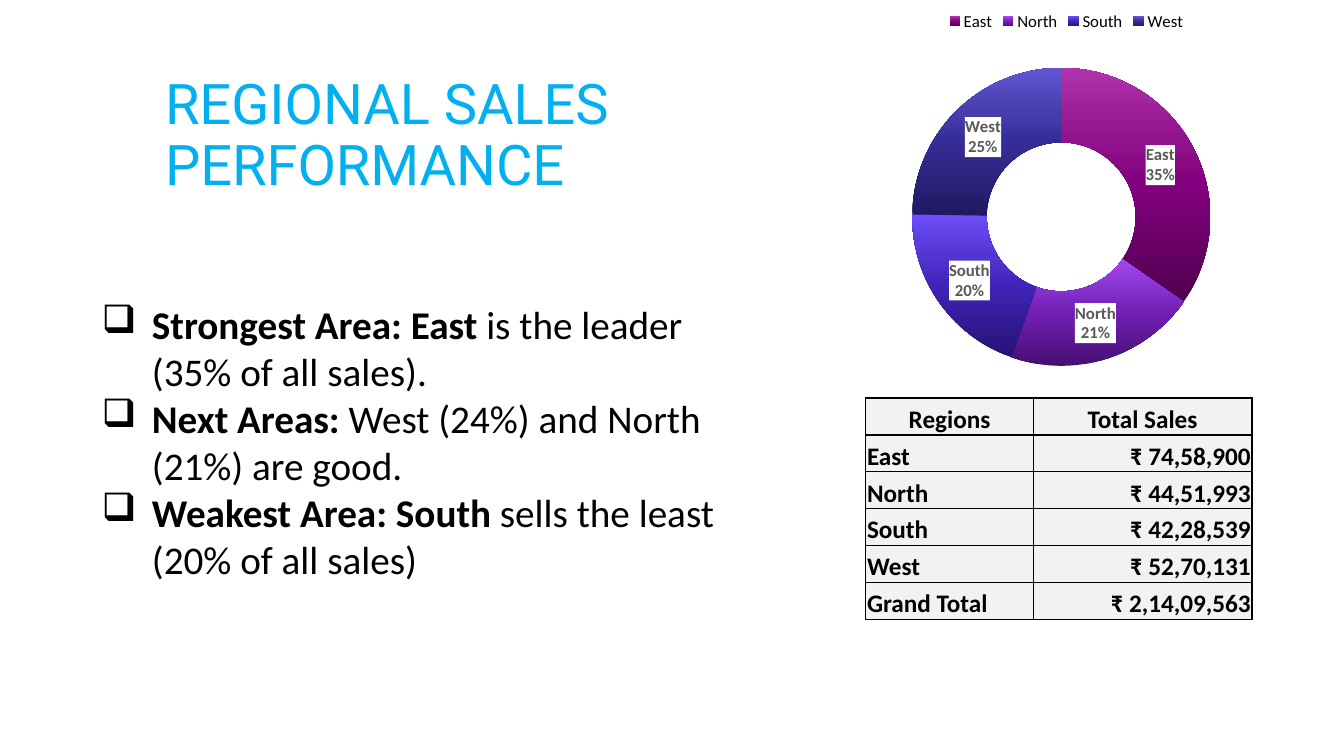
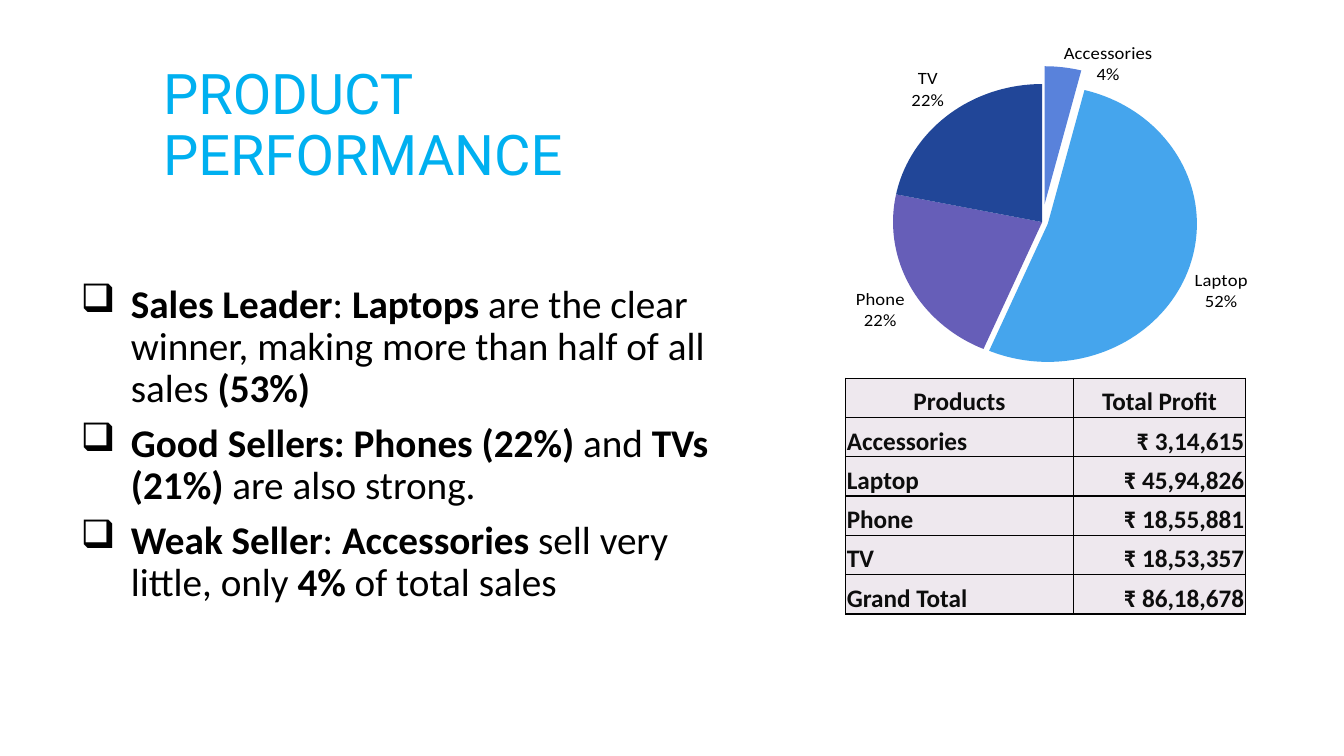
"""Build two sales slides, each with a title, bullets, a round chart and a table."""
from dataclasses import dataclass

import lxml.etree
import pptx
import pptx.chart.data
import pptx.dml.color
import pptx.enum.chart
import pptx.enum.text
import pptx.oxml
import pptx.oxml.ns
import pptx.util

Cm, Pt = pptx.util.Cm, pptx.util.Pt
qn = pptx.oxml.ns.qn
ALIGN = pptx.enum.text.PP_ALIGN
ANCHOR = pptx.enum.text.MSO_ANCHOR
CHART = pptx.enum.chart.XL_CHART_TYPE
NAMESPACES = pptx.oxml.ns.nsdecls("a", "c")

COLORS = {
    "title": "00B0F0", "ink": "000000", "paper": "FFFFFF", "label": "595959",
    "region_cell": "F2F2F2", "product_cell": "EEE8EE", "product_ink": "0D0D0D",
}
TITLE_FONT = {"name": "Roboto", "size": Pt(40)}
BODY_FONT = {"name": "Calibri", "size": Pt(28)}
CELL_FONT = {"name": "Calibri", "size": Pt(18), "bold": True}
LEGEND_FONT = {"name": "Calibri", "size": Pt(12)}
CELL_FORMAT = {
    "vertical_anchor": ANCHOR.BOTTOM, "margin_left": Cm(0.03), "margin_right": Cm(0.03),
    "margin_top": Cm(0.03), "margin_bottom": 0,
}
LABEL_FORMAT = {
    "show_percentage": True, "show_category_name": True, "show_value": False,
    "number_format": "0%", "number_format_is_linked": False,
}
GRADIENT_STOPS = (0, 50, 70, 100)


@dataclass(frozen=True)
class Box:
    """Left, top, width and height in centimetres."""
    left: float
    top: float
    width: float
    height: float

    def lengths(self) -> tuple:
        return tuple(Cm(v) for v in (self.left, self.top, self.width, self.height))


@dataclass(frozen=True)
class Slice:
    """A chart share with one colour, or several for a gradient."""
    name: str
    percent: int
    colors: tuple[str, ...]
    explosion: int = 0


@dataclass(frozen=True)
class RoundChart:
    """A pie or doughnut with its plot area given as chart fractions."""
    kind: CHART
    box: Box
    plot_area: tuple[float, float, float, float]
    slices: tuple[Slice, ...]
    label_font: dict
    label_ink: str


@dataclass(frozen=True)
class Totals:
    """A two-column table of amounts."""
    left: float
    top: float
    widths: tuple[float, float]
    row_height: float
    fill: str
    ink: str
    rows: tuple[tuple[str, str], ...]


@dataclass(frozen=True)
class Report:
    """The content of one slide; asterisks enclose bold words in bullets."""
    title: str
    title_box: Box
    bullets: tuple[str, ...]
    bullets_box: Box
    bullet_spacing: dict
    chart: RoundChart
    totals: Totals


REPORTS = (
    Report(
        "REGIONAL SALES PERFORMANCE", Box(3.91, 1.24, 15.7, 4.42),
        ("*Strongest Area: East* is the leader (35% of all sales).",
         "*Next Areas:* West (24%) and North (21%) are good.",
         "*Weakest Area: South* sells the least (20% of all sales)"),
        Box(2.31, 7.44, 16.28, 7.44), {},
        RoundChart(
            CHART.DOUGHNUT, Box(20.4, 0, 12.95, 10.03), (0.2, 0.17, 0.58, 0.75),
            (Slice("East", 35, ("51004F", "82017E", "91138D", "AF34AB")),
             Slice("North", 21, ("461072", "711FB4", "8430CB", "A349F3")),
             Slice("South", 20, ("261375", "4023B8", "5235D0", "6C4EF9")),
             Slice("West", 25, ("201960", "362C98", "473DAD", "6157D2"))),
            {"name": "Calibri", "size": Pt(12), "bold": True}, "label"),
        Totals(
            21.82, 10.03, (4.22, 5.51), 0.93, "region_cell", "ink",
            (("Regions", "Total Sales"), ("East", "₹ 74,58,900"),
             ("North", "₹ 44,51,993"), ("South", "₹ 42,28,539"),
             ("West", "₹ 52,70,131"), ("Grand Total", "₹ 2,14,09,563"))),
    ),
    Report(
        "PRODUCT PERFORMANCE", Box(3.86, 0.97, 13.34, 4.45),
        ("*Sales Leader*: *Laptops* are the clear winner, "
         "making more than half of all sales *(53%)*",
         "*Good Sellers: Phones (22%) *and *TVs (21%) *are also strong.",
         "*Weak Seller*: *Accessories* sell very little, only *4%* of total sales"),
        Box(1.78, 7.04, 17.04, 8.43), {"line_spacing": 0.9, "space_after": Pt(8.8)},
        RoundChart(
            CHART.PIE, Box(18.82, 0.48, 15.04, 8.64), (0.07, 0.13, 0.85, 0.87),
            (Slice("Accessories", 4, ("5982DB",), 13),
             Slice("Laptop", 53, ("45A5ED",), 4),
             Slice("Phone", 22, ("665EB8",)),
             Slice("TV", 22, ("214698",))),
            {"name": "Calibri", "size": Pt(13.3), "bold": False}, "ink"),
        Totals(
            21.31, 9.53, (5.74, 4.34), 0.99, "product_cell", "product_ink",
            (("Products", "Total Profit"), ("Accessories", "₹ 3,14,615"),
             ("Laptop", "₹ 45,94,826"), ("Phone", "₹ 18,55,881"),
             ("TV", "₹ 18,53,357"), ("Grand Total", "₹ 86,18,678"))),
    ),
)


def rgb(value: str) -> pptx.dml.color.RGBColor:
    return pptx.dml.color.RGBColor.from_string(value)


def apply(target, values: dict) -> None:
    for attribute, value in values.items():
        setattr(target, attribute, value)


def style_font(font, values: dict, ink: str) -> None:
    apply(font, values)
    font.color.rgb = rgb(COLORS[ink])


def element(tag: str, inner: str = "", attributes: str = ""):
    return pptx.oxml.parse_xml(f"<{tag} {NAMESPACES} {attributes}>{inner}</{tag}>")


def solid(ink: str) -> str:
    return f'<a:solidFill><a:srgbClr val="{COLORS[ink]}"/></a:solidFill>'


def text_frame(slide, box: Box):
    frame = slide.shapes.add_textbox(*box.lengths()).text_frame
    frame.word_wrap = True
    return frame


def draw_title(slide, text: str, box: Box) -> None:
    frame = text_frame(slide, box)
    frame.vertical_anchor = ANCHOR.MIDDLE
    heading = frame.paragraphs[0]
    heading.line_spacing = 0.9
    run = heading.add_run()
    run.text = text
    style_font(run.font, TITLE_FONT, "title")
    run._r.get_or_add_rPr().insert(0, element("a:ln", solid("ink"), f'w="{Pt(0.75)}"'))


def draw_bullets(slide, report: Report) -> None:
    frame = text_frame(slide, report.bullets_box)
    for index, text in enumerate(report.bullets):
        bullet = frame.add_paragraph() if index else frame.paragraphs[0]
        properties = bullet._p.get_or_add_pPr()
        apply(bullet, report.bullet_spacing)
        properties.set("marL", str(Cm(1.27)))
        properties.set("indent", str(Cm(-1.27)))
        properties.append(element("a:buChar", attributes='char="❑"'))
        for position, words in enumerate(text.split("*")):
            if words:
                run = bullet.add_run()
                run.text = words
                style_font(run.font, BODY_FONT | {"bold": position % 2 == 1}, "ink")


def paint_slice(point, share: Slice) -> None:
    fill = point.format.fill
    if len(share.colors) == 1:
        fill.solid()
        fill.fore_color.rgb = rgb(share.colors[0])
        return
    fill.gradient()
    fill.gradient_angle = 90
    stops = fill._fill._gradFill.find(qn("a:gsLst"))
    for stop in list(stops):
        stops.remove(stop)
    for position, color in zip(GRADIENT_STOPS, share.colors):
        stops.append(element("a:gs", f'<a:srgbClr val="{color}"/>', f'pos="{position * 1000}"'))


def place_plot(chart, area: tuple[float, float, float, float]) -> None:
    plot_area = chart._chartSpace.find(".//" + qn("c:plotArea"))
    for layout in plot_area.findall(qn("c:layout")):
        plot_area.remove(layout)
    settings = [("layoutTarget", "inner"), ("xMode", "edge"), ("yMode", "edge")]
    settings += zip("xywh", area)
    inner = "".join(f'<c:{tag} val="{value}"/>' for tag, value in settings)
    plot_area.insert(0, element("c:layout", f"<c:manualLayout>{inner}</c:manualLayout>"))


def draw_chart(slide, spec: RoundChart) -> None:
    data = pptx.chart.data.CategoryChartData()
    data.categories = [share.name for share in spec.slices]
    data.add_series("Series 1", [share.percent for share in spec.slices])
    chart = slide.shapes.add_chart(spec.kind, *spec.box.lengths(), data).chart
    doughnut = spec.kind == CHART.DOUGHNUT
    apply(chart, {"has_title": False, "has_legend": doughnut})
    style_font(chart.font, {"name": "Calibri", "size": Pt(10)}, "ink")
    place_plot(chart, spec.plot_area)
    chart.plots[0].vary_by_categories = True

    series = chart.plots[0].series[0]
    for index, share in enumerate(spec.slices):
        paint_slice(series.points[index], share)
        if share.explosion:
            point = series._element.findall(qn("c:dPt"))[index]
            point.find(qn("c:spPr")).addprevious(
                element("c:explosion", attributes=f'val="{share.explosion}"'))

    labels = series.data_labels
    apply(labels, LABEL_FORMAT)
    style_font(labels.font, spec.label_font, spec.label_ink)
    node = labels._element
    node.find(qn("c:showBubbleSize")).addnext(element("c:separator", "\n"))
    if doughnut:
        apply(chart.legend, {"position": pptx.enum.chart.XL_LEGEND_POSITION.TOP,
                             "include_in_layout": False})
        style_font(chart.legend.font, LEGEND_FONT, "ink")
        node.find(qn("c:txPr")).addprevious(element("c:spPr", solid("paper")))
        chart._chartSpace.find(".//" + qn("c:holeSize")).set("val", "75")
    else:
        labels.position = pptx.enum.chart.XL_LABEL_POSITION.OUTSIDE_END


def draw_totals(slide, totals: Totals) -> None:
    count = len(totals.rows)
    box = Box(totals.left, totals.top, sum(totals.widths), totals.row_height * count)
    table = slide.shapes.add_table(count, 2, *box.lengths()).table
    apply(table, {"first_row": False, "horz_banding": False})
    for column, width in zip(table.columns, totals.widths):
        column.width = Cm(width)
    for row_index, texts in enumerate(totals.rows):
        table.rows[row_index].height = Cm(totals.row_height)
        for column_index, text in enumerate(texts):
            cell = table.cell(row_index, column_index)
            apply(cell, CELL_FORMAT)
            cell.fill.solid()
            cell.fill.fore_color.rgb = rgb(COLORS[totals.fill])
            for order, side in enumerate("LRTB"):
                cell._tc.get_or_add_tcPr().insert(
                    order, element(f"a:ln{side}", solid("ink"), f'w="{Pt(1)}"'))
            entry = cell.text_frame.paragraphs[0]
            amount_align = ALIGN.RIGHT if column_index else ALIGN.LEFT
            entry.alignment = amount_align if row_index else ALIGN.CENTER
            run = entry.add_run()
            run.text = text
            style_font(run.font, CELL_FONT, totals.ink)


def main() -> None:
    deck = pptx.Presentation()
    apply(deck, {"slide_width": Cm(33.87), "slide_height": Cm(19.05)})
    for report in REPORTS:
        slide = deck.slides.add_slide(deck.slide_layouts[6])
        draw_title(slide, report.title, report.title_box)
        draw_chart(slide, report.chart)
        draw_totals(slide, report.totals)
        draw_bullets(slide, report)
    deck.save("out.pptx")


if __name__ == "__main__":
    main()
